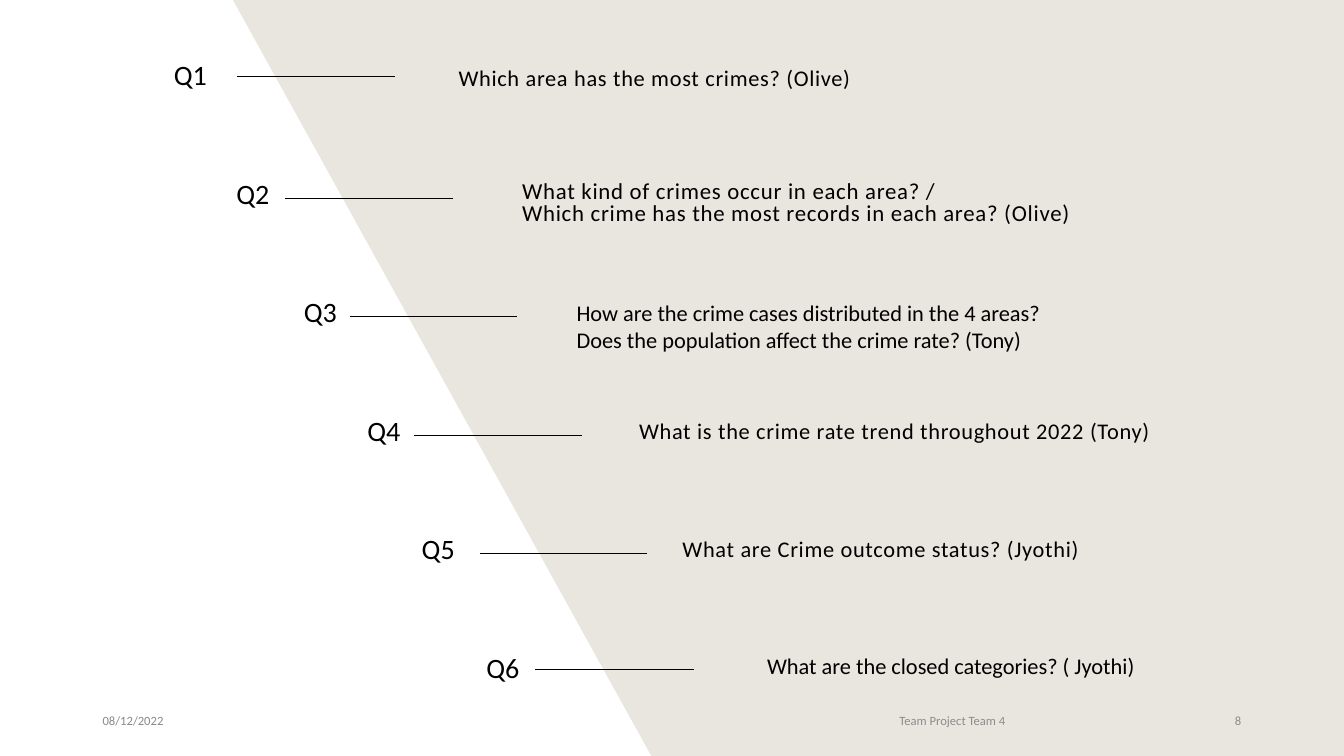
from pptx import Presentation
from pptx.dml.color import RGBColor
from pptx.enum.shapes import MSO_CONNECTOR as CONN
from pptx.enum.text import MSO_ANCHOR as ANCHOR, PP_ALIGN as ALIGN
from pptx.oxml.ns import qn
from pptx.util import Inches, Pt
from lxml import etree

THEME = {
    "font": "Calibri", "ink": "000000", "panel": "E9E6DF",
    "date": "898989", "footer": "8C8C8C",
    "label": 20, "question": 16, "small": 9, "rule": 0.5,
}

prs = Presentation()
prs.slide_width, prs.slide_height = Inches(13.33), Inches(7.5)
s = prs.slides.add_slide(prs.slide_layouts[6])


def share(x, y):
    """Turn percentages of the slide's width and height into lengths."""
    return int(prs.slide_width * x / 100), int(prs.slide_height * y / 100)


def add_text(lines, x, y, w, h, size, color="ink", align=ALIGN.LEFT,
             anchor=ANCHOR.TOP, line=1.0, spc=0):
    """Add a text box placed in percentages; spc is in hundredths of a point."""
    tf = s.shapes.add_textbox(*share(x, y), *share(w, h)).text_frame
    tf.word_wrap, tf.vertical_anchor = True, anchor
    for i, text in enumerate(lines):
        p = tf.paragraphs[0] if i == 0 else tf.add_paragraph()
        p.alignment, p.line_spacing = align, line
        r = p.add_run()
        r.text = text
        for name, value in {"name": THEME["font"], "size": Pt(size)}.items():
            setattr(r.font, name, value)
        r.font.color.rgb = RGBColor.from_string(THEME[color])
        if spc:
            r.font._element.set("spc", str(spc))


# Slanted panel
fb = s.shapes.build_freeform(*share(48.46, 100))
fb.add_line_segments([share(17.33, 0), share(100, 0), share(100, 100)], close=True)
panel = fb.convert_to_shape()
panel.shadow.inherit = False
panel.fill.solid()
panel.fill.fore_color.rgb = RGBColor.from_string(THEME["panel"])
panel.line.fill.background()

# label right edge, rule left, question left, width, height, lines, format
spaced = {"spc": 50}
questions = [
    (16.13, 17.63, 33.38, 46.59, 14.8,
     ["Which area has the most crimes? (Olive)"], spaced),
    (20.78, 21.23, 38.11, 56.94, 13.33,
     ["What kind of crimes occur in each area? /",
      "Which crime has the most records in each area? (Olive)"],
     {"spc": 50, "line": 0.8, "size": 16.3}),
    (25.81, 26.03, 42.16, 46.51, 8.53,
     ["How are the crime cases distributed in the 4 areas?",
      "Does the population affect the crime rate? (Tony)"], {}),
    (30.53, 30.83, 46.81, 41.86, 6.13,
     ["What is the crime rate trend throughout 2022 (Tony)"], spaced),
    (34.58, 35.71, 50.04, 49.29, 6.13,
     ["What are Crime outcome status? (Jyothi)"], spaced),
    (39.38, 39.83, 56.34, 42.91, 4.93,
     ["What are the closed categories? ( Jyothi)"], {}),
]
LABEL_H = 7.47
for i, (right, rule_x, text_x, w, h, lines, style) in enumerate(questions):
    outer = i in (0, len(questions) - 1)
    label_w, rule_w, drop = (5.2, 11.78, 0) if outer else (17.55, 12.45, 0.4)
    mid = 10.13 + 15.67 * i

    add_text([f"Q{i + 1}"], right - label_w, mid - LABEL_H / 2, label_w, LABEL_H,
             THEME["label"], align=ALIGN.RIGHT, anchor=ANCHOR.MIDDLE, line=0.9)

    rule = s.shapes.add_connector(CONN.STRAIGHT, *share(rule_x, mid + drop),
                                  *share(rule_x + rule_w, mid + drop))
    rule.line.width = Pt(THEME["rule"])
    rule.line.color.rgb = RGBColor.from_string(THEME["ink"])
    etree.SubElement(rule._element.spPr, qn("a:effectLst"))

    add_text(lines, text_x, 7.87 + 15.55 * i, w, h,
             **{"size": THEME["question"], **style})

# Footer
for text, x, w, color, align in [
    ("08/12/2022", 6.9, 22.5, "date", ALIGN.LEFT),
    ("Team Project Team 4", 55.36, 30.98, "footer", ALIGN.CENTER),
    ("8", 88.67, 4.43, "footer", ALIGN.RIGHT),
]:
    add_text([text], x, 92.67, w, 5.33, THEME["small"], color, align, ANCHOR.MIDDLE)

prs.save("out.pptx")
